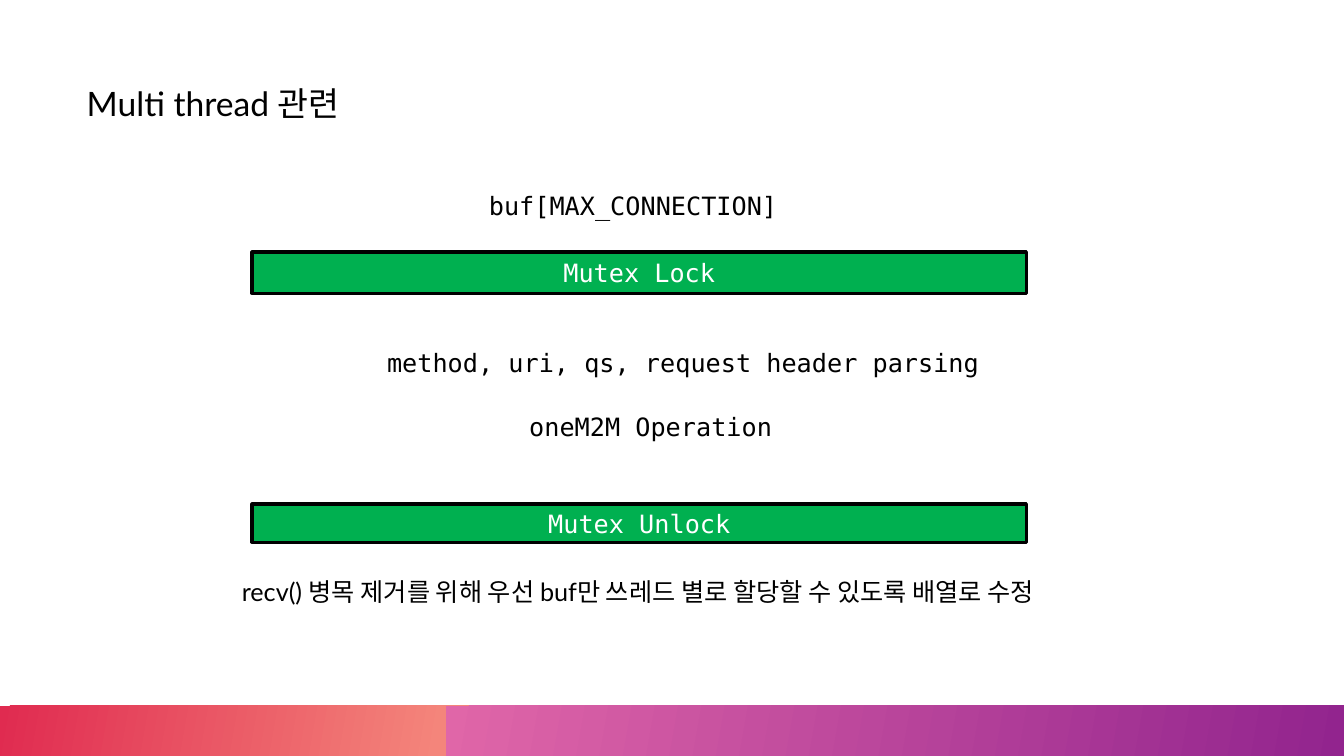
import pptx
import pptx.util
import pptx.dml.color
import pptx.enum.text
import pptx.enum.shapes

deck = pptx.Presentation()
deck.slide_width = pptx.util.Inches(13.33)
deck.slide_height = pptx.util.Inches(7.5)
col = deck.slide_width / 13.33
row = deck.slide_height / 7.5
slide = deck.slides.add_slide(deck.slide_layouts[5])
rect = pptx.enum.shapes.MSO_SHAPE.RECTANGLE
align = pptx.enum.text.PP_ALIGN
anchor = pptx.enum.text.MSO_ANCHOR
mono = "DejaVu Sans Mono"


def tint(fmt, code):
    fmt.rgb = pptx.dml.color.RGBColor.from_string(code)


def write(shape, text, face, size, code, side, hold):
    frame = shape.text_frame
    frame.text = text
    form = {
        "word_wrap": True,
        "vertical_anchor": hold,
        "auto_size": pptx.enum.text.MSO_AUTO_SIZE.NONE,
    }
    for key, value in form.items():
        setattr(frame, key, value)
    line = frame.paragraphs[0]
    line.alignment = side
    font = line.runs[0].font
    for key, value in {"name": face, "size": pptx.util.Pt(size)}.items():
        setattr(font, key, value)
    tint(font.color, code)


bands = [
    (0, 13.33, 33, "E02B50", "F4857B"),
    (4.42, 8.91, 100, "E066A8", "92248E"),
]
for left, width, end, first, last in bands:
    band = slide.shapes.add_shape(
        rect, int(left * col), int(7 * row), int(width * col), int(0.5 * row)
    )
    band.shadow.inherit = False
    band.line.fill.background()
    band.fill.gradient()
    band.fill.gradient_angle = 350
    stops = band.fill.gradient_stops
    for stop, place, code in zip(stops, (0, end), (first, last)):
        stop.position = place / 100
        tint(stop.color, code)

title = slide.shapes.title
place = {"left": 0.76, "top": 0.77, "width": 5.84, "height": 0.5}
for key, value in place.items():
    setattr(title, key, int(value * col))
write(title, "Multi thread 관련", "Lato", 24, "000000", align.LEFT, anchor.TOP)

notes = [
    (4.75, 1.84, 7.01, mono, "buf[MAX_CONNECTION]"),
    (3.74, 3.4, 7.01, mono, "method, uri, qs, request header parsing"),
    (5.15, 4.03, 7.01, mono, "oneM2M Operation"),
    (2.3, 5.67, 10.83, "Lato",
     "recv() 병목 제거를 위해 우선 buf만 쓰레드 별로 할당할 수 있도록 배열로 수정"),
]
for left, top, width, face, text in notes:
    note = slide.shapes.add_textbox(
        int(left * col), int(top * row), int(width * col), int(0.4 * row)
    )
    write(note, text, face, 18, "000000", align.LEFT, anchor.TOP)

for top, height, text in [(2.5, 0.41, "Mutex Lock"), (5, 0.38, "Mutex Unlock")]:
    bar = slide.shapes.add_shape(
        rect, int(2.5 * col), int(top * row), int(7.68 * col), int(height * row)
    )
    bar.shadow.inherit = False
    bar.fill.solid()
    tint(bar.fill.fore_color, "00B050")
    tint(bar.line.color, "000000")
    bar.line.width = pptx.util.Pt(2.25)
    write(bar, text, mono, 18, "FFFFFF", align.CENTER, anchor.MIDDLE)

deck.save("out.pptx")
